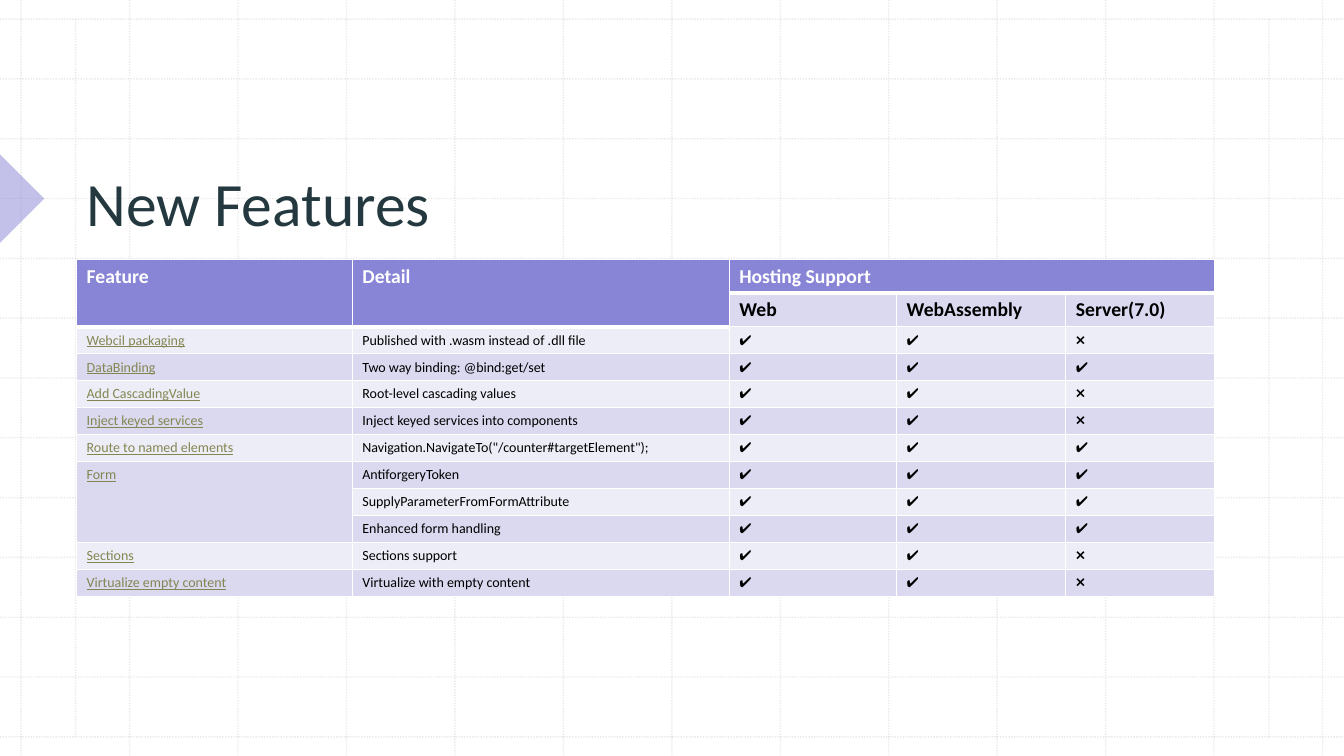
from dataclasses import dataclass

from lxml import etree
from pptx import Presentation
from pptx.dml.color import RGBColor
from pptx.enum.dml import MSO_LINE
from pptx.enum.shapes import MSO_CONNECTOR, MSO_SHAPE
from pptx.enum.text import MSO_ANCHOR
from pptx.oxml.ns import qn
from pptx.util import Pt

STRAIGHT = MSO_CONNECTOR.STRAIGHT
TRIANGLE = MSO_SHAPE.RIGHT_TRIANGLE
DOTTED = MSO_LINE.ROUND_DOT
BOTTOM = MSO_ANCHOR.BOTTOM

COLORS = {
    "grid": "BCBCBC", "accent": "8885D7", "title": "24393F", "white": "FFFFFF",
    "black": "000000", "link": "848651", "dark_band": "DAD9F0", "light_band": "EDEDF8",
}
FONT = "Calibri"
WIDTH, HEIGHT = 960, 540
GRID_LEFT, GRID_TOP = 15.12, 13.68
GRID_STEP_X, GRID_STEP_Y, GRID_LINES = 77.46, 42.72, 13
MARGIN_LINES = (54, 906.48)
TABLE_LEFT, TABLE_TOP = 54.72, 185.3
COLUMNS = (197, 269.2, 119.6, 120.9, 106)
HEADER_ROWS, HEADER_HEIGHT, BODY_HEIGHT = 2, 24, 19.3
CHECK, CROSS = "✔️", "❌"


@dataclass
class Line:
    x1: float
    y1: float
    x2: float
    y2: float


@dataclass
class Feature:
    name: str
    detail: str
    on_server: bool
    rows: int = 1


FEATURES = [
    Feature("Webcil packaging", "Published with .wasm instead of .dll file", False),
    Feature("DataBinding", "Two way binding: @bind:get/set", True),
    Feature("Add CascadingValue", "Root-level cascading values", False),
    Feature("Inject keyed services", "Inject keyed services into components", False),
    Feature("Route to named elements", 'Navigation.NavigateTo("/counter#targetElement");', True),
    Feature("Form", "AntiforgeryToken", True, rows=3),
    Feature("", "SupplyParameterFromFormAttribute", True),
    Feature("", "Enhanced form handling", True),
    Feature("Sections", "Sections support", False),
    Feature("Virtualize empty content", "Virtualize with empty content", False),
]


def rgb(name: str) -> RGBColor:
    return RGBColor.from_string(COLORS[name])


def set_alpha(sp, percent: int) -> None:
    color = next(sp.element.spPr.iter(qn("a:srgbClr")))
    etree.SubElement(color, qn("a:alpha"), val=str(percent * 1000))


def write(tf, text: str, *, size: float, color: str = "black",
          bold: bool = False, underline: bool = False) -> None:
    r = tf.paragraphs[0].add_run()
    r.text = text
    r.font.name, r.font.size = FONT, Pt(size)
    r.font.bold, r.font.underline = bold, underline
    r.font.color.rgb = rgb(color)


def draw_line(slide, line: Line) -> None:
    sp = slide.shapes.add_connector(
        STRAIGHT, Pt(line.x1), Pt(line.y1), Pt(line.x2), Pt(line.y2))
    sp.line.color.rgb = rgb("grid")
    sp.line.width = Pt(1)
    sp.line.dash_style = DOTTED
    set_alpha(sp, 30)
    etree.SubElement(sp.element.spPr, qn("a:effectLst"))


def style_cell(cell, fill: str, bottom: float) -> None:
    tc_pr = cell._tc.get_or_add_tcPr()
    for side, width in (("L", 1), ("R", 1), ("T", 1), ("B", bottom)):
        ln = etree.SubElement(tc_pr, qn(f"a:ln{side}"), w=str(Pt(width)))
        solid = etree.SubElement(ln, qn("a:solidFill"))
        etree.SubElement(solid, qn("a:srgbClr"), val=COLORS["white"])
    cell.fill.solid()
    cell.fill.fore_color.rgb = rgb(fill)


def draw_grid(slide) -> None:
    xs = [GRID_LEFT + i * GRID_STEP_X for i in range(GRID_LINES)]
    ys = [GRID_TOP + i * GRID_STEP_Y for i in range(GRID_LINES)]
    lines = [Line(x, 0, x, HEIGHT) for x in xs]
    lines += [Line(0, y, WIDTH, y) for y in ys]
    lines += [Line(x, ys[0], x, ys[-1]) for x in MARGIN_LINES]
    for line in lines:
        draw_line(slide, line)


def draw_title(slide) -> None:
    # Arrow at the slide edge
    sp = slide.shapes.add_shape(TRIANGLE, Pt(-22.32), Pt(119.5), Pt(44.64), Pt(44.64))
    sp.rotation = 225
    sp.shadow.inherit = False
    sp.fill.solid()
    sp.fill.fore_color.rgb = rgb("accent")
    sp.line.fill.background()
    set_alpha(sp, 50)

    # Heading text
    sp = slide.shapes.add_textbox(Pt(TABLE_LEFT), Pt(56.9), Pt(812.9), Pt(113.8))
    tf = sp.text_frame
    tf.word_wrap = True
    tf.vertical_anchor = BOTTOM
    tf.margin_bottom = 0
    write(tf, "New Features", size=44, color="title")


def draw_table(slide) -> None:
    heights = [HEADER_HEIGHT] * HEADER_ROWS + [BODY_HEIGHT] * len(FEATURES)
    table = slide.shapes.add_table(
        len(heights), len(COLUMNS), Pt(TABLE_LEFT), Pt(TABLE_TOP),
        Pt(sum(COLUMNS)), Pt(sum(heights))).table
    for column, width in zip(table.columns, COLUMNS):
        column.width = Pt(width)
    for row, height in zip(table.rows, heights):
        row.height = Pt(height)

    # Fills and borders
    for r in range(len(heights)):
        for c in range(len(COLUMNS)):
            header = r == 0 or (r == 1 and c < 2)
            band = "light_band" if r % 2 == 0 else "dark_band"
            style_cell(table.cell(r, c), "accent" if header else band, 3 if header else 1)

    # Header
    for c, text in enumerate(("Feature", "Detail", "Hosting Support")):
        write(table.cell(0, c).text_frame, text, size=14, color="white", bold=True)
    for c, text in enumerate(("Web", "WebAssembly", "Server(7.0)"), start=2):
        write(table.cell(1, c).text_frame, text, size=14, bold=True)
    for c in (0, 1):
        table.cell(0, c).merge(table.cell(1, c))
    table.cell(0, 2).merge(table.cell(0, 4))

    # Features
    for r, feature in enumerate(FEATURES, start=HEADER_ROWS):
        if feature.name:
            write(table.cell(r, 0).text_frame, feature.name,
                  size=10, color="link", underline=True)
        if feature.rows > 1:
            table.cell(r, 0).merge(table.cell(r + feature.rows - 1, 0))
        server = CHECK if feature.on_server else CROSS
        for c, text in enumerate((feature.detail, CHECK, CHECK, server), start=1):
            write(table.cell(r, c).text_frame, text, size=10)


def main() -> None:
    prs = Presentation()
    prs.slide_width, prs.slide_height = Pt(WIDTH), Pt(HEIGHT)
    slide = prs.slides.add_slide(prs.slide_layouts[6])
    draw_grid(slide)
    draw_title(slide)
    draw_table(slide)
    prs.save("out.pptx")


if __name__ == "__main__":
    main()
